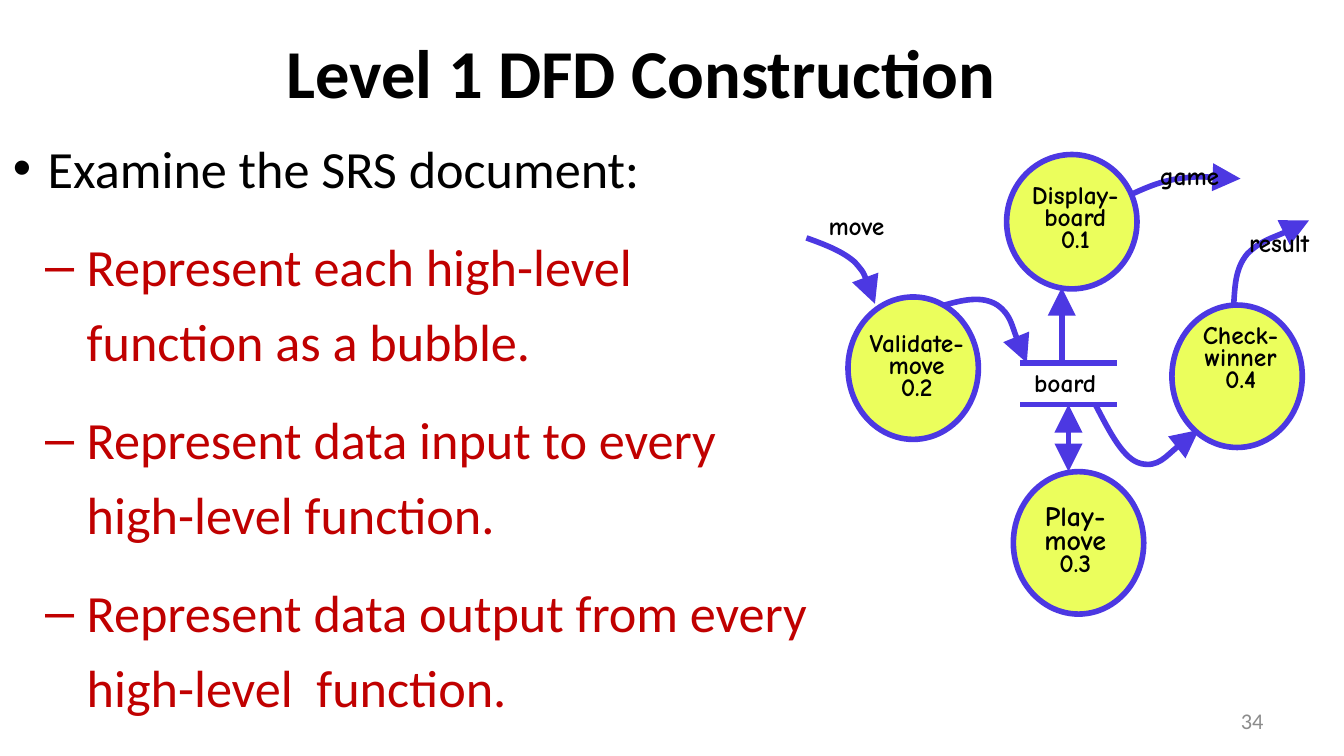
from copy import deepcopy

from lxml import etree
from pptx import Presentation
from pptx import util as u
from pptx.dml.color import RGBColor
from pptx.enum import shapes, text
from pptx.oxml.ns import qn

COLOURS = {"black": "000000", "red": "C00000", "grey": "8C8C8C",
           "yellow": "EBFE5C", "violet": "4C38E2"}
CELL = 0.1
BUBBLE_WIDTH, BUBBLE_HEIGHT = 9.7, 10.6
LABEL = {"name": "Comic Neue", "size": u.Pt(13.6), "bold": True}
TIGHT = {"margin_left": u.Inches(0.01), "margin_right": u.Inches(0.01),
         "margin_top": u.Inches(0.04), "margin_bottom": u.Inches(0.04)}


def cells(*values):
    """Turn grid columns or rows into slide lengths."""
    return [u.Inches(value * CELL) for value in values]


def colour(name):
    """Look up a colour of the palette."""
    return RGBColor.from_string(COLOURS[name])


def apply(target, values):
    """Set each attribute of a format dict."""
    for name, value in values.items():
        setattr(target, name, value)


def write(paragraph, words, font, colour_name="black", **layout):
    """Fill a paragraph and format its runs and line breaks."""
    paragraph.text = words
    apply(paragraph, layout)
    for run in paragraph.runs:
        apply(run.font, font)
        run.font.color.rgb = colour(colour_name)
    for line_break in paragraph._p.findall(qn("a:br")):
        line_break.append(deepcopy(paragraph.runs[0]._r.rPr))


def add_text_frame(slide, box, **frame_format):
    """Add a wrapping text box and return its frame."""
    frame = slide.shapes.add_textbox(*cells(*box)).text_frame
    apply(frame, {"word_wrap": True, **frame_format})
    return frame


def add_title(slide, box):
    """Place the heading."""
    frame = add_text_frame(slide, box, vertical_anchor=text.MSO_ANCHOR.MIDDLE, **TIGHT)
    write(frame.paragraphs[0], "Level 1 DFD Construction",
          {"name": "Calibri", "size": u.Pt(36.7), "bold": True},
          alignment=text.PP_ALIGN.CENTER)


def add_bullets(slide, box):
    """Place the list of construction steps."""
    frame = add_text_frame(slide, box, **TIGHT)
    steps = [("Examine the SRS document:", 0),
             ("Represent each high-level function as a bubble.", 1),
             ("Represent data input to every high-level function.", 1),
             ("Represent data output from every high-level  function.", 1)]
    levels = [("•", 0.26, 0.26, "black"), ("–", 0.55, 0.31, "red")]
    for index, (words, level) in enumerate(steps):
        mark, margin, hang, colour_name = levels[level]
        paragraph = frame.add_paragraph() if index else frame.paragraphs[0]
        properties = paragraph._p.get_or_add_pPr()
        properties.set("marL", str(u.Inches(margin)))
        properties.set("indent", str(-u.Inches(hang)))
        etree.SubElement(properties, qn("a:buFont"), typeface="Arial")
        etree.SubElement(properties, qn("a:buChar"), char=mark)
        write(paragraph, words, {"name": "Calibri", "size": u.Pt(28)}, colour_name,
              level=level, line_spacing=1.2, space_after=u.Pt(6))
        if index:
            paragraph.space_before = u.Pt(6)


def style_line(shape, ends=()):
    """Draw a violet line with large arrowheads at the named ends."""
    shape.line.color.rgb = colour("violet")
    shape.line.width = u.Pt(3)
    for end in ends:
        etree.SubElement(shape.line._get_or_add_ln(), qn(f"a:{end}"),
                         type="triangle", w="lg", len="lg")


def add_straight(slide, start, finish, ends=()):
    """Join two points by a straight line."""
    line = slide.shapes.add_connector(shapes.MSO_CONNECTOR.STRAIGHT,
                                      *cells(*start, *finish))
    style_line(line, ends)
    etree.SubElement(line._element.spPr, qn("a:effectLst"))


def add_curve(slide, points):
    """Draw an arrow along Bezier segments of three points each."""
    start, *others = [cells(*point) for point in points]
    builder = slide.shapes.build_freeform(*start, scale=1.0)
    builder.add_line_segments(others, close=False)
    curve = builder.convert_to_shape()
    outline = curve._element.find(".//" + qn("a:path"))
    segments = outline.findall(qn("a:lnTo"))
    for first in range(0, len(segments), 3):
        bezier = etree.SubElement(outline, qn("a:cubicBezTo"))
        for segment in segments[first:first + 3]:
            bezier.append(segment[0])
            outline.remove(segment)
    curve.fill.background()
    style_line(curve, ["tailEnd"])
    curve.shadow.inherit = False


def add_label(slide, box, words, **layout):
    """Place a diagram label."""
    frame = add_text_frame(slide, box, **TIGHT)
    write(frame.paragraphs[0], words, LABEL, line_spacing=0.72, **layout)
    return frame.paragraphs[0]


def add_bubble(slide, box):
    """Draw one process bubble."""
    bubble = slide.shapes.add_shape(shapes.MSO_SHAPE.OVAL, *cells(*box))
    bubble.fill.solid()
    bubble.fill.fore_color.rgb = colour("yellow")
    style_line(bubble)
    bubble.shadow.inherit = False


def add_diagram(slide, box):
    """Place the data flow diagram."""
    left, top = box[:2]

    def at(x, y, *extent):
        """Shift a point or box into the diagram."""
        return (left + x, top + y, *extent)

    bubbles = [
        ("Display-board\v0.1", (14.9, 0), 10, (15.9, 2), 8.2),
        ("Play-move\v0.3", (15.4, 23.6), BUBBLE_HEIGHT, (15.9, 25.8), 8.2),
        ("Validate-move\v0.2", (3.1, 10.6), BUBBLE_HEIGHT, (3.6, 13), 9.2),
        ("Check-winner\v0.4", (27.2, 11.2), BUBBLE_HEIGHT, (28.2, 12.4), 8.2),
    ]
    for _, corner, height, _, _ in bubbles:
        add_bubble(slide, at(*corner, BUBBLE_WIDTH, height))

    for y in (15.5, 18.6):
        add_straight(slide, at(15.9, y), at(23.1, y))
    add_straight(slide, at(19, 15.5), at(19, 9.9), ["tailEnd"])
    add_straight(slide, at(19.5, 18.6), at(19.5, 23.6), ["headEnd", "tailEnd"])

    flows = [
        [(21.5, 18.6), (22.6, 20.7), (23.6, 22.7), (24.9, 23),
         (26.2, 23.3), (28.5, 20.9), (29.2, 20.5)],
        [(10.3, 11.2), (11.7, 10.8), (13.1, 10.5), (14.2, 11.2),
         (15.2, 11.9), (16, 14.8), (16.4, 15.5)],
        [(0, 6.2), (1.4, 6.7), (2.7, 7.2), (3.6, 8),
         (4.4, 8.9), (4.8, 10), (5.1, 11.1)],
        [(31.8, 11.1), (31.9, 9.8), (31.9, 8.5), (32.8, 7.4),
         (33.8, 6.4), (36.7, 5.4), (37.4, 4.9)],
        [(24.1, 3), (25.2, 2.5), (26.3, 2), (27.7, 1.8),
         (29.1, 1.6), (30.7, 1.7), (32.3, 1.8)],
    ]
    for points in flows:
        add_curve(slide, [at(*point) for point in points])

    for words, _, _, corner, width in bubbles:
        paragraph = add_label(slide, at(*corner, width, 9.2), words,
                              alignment=text.PP_ALIGN.CENTER)
        if words.startswith("Play"):
            paragraph.runs[0].font.size = u.Pt(15)
    for words, x, y, width in [("board", 16.85, 16, 6.7), ("move", 1.55, 4.3, 7.2),
                               ("result", 32.85, 5.6, 7.2), ("game", 26.2, 0.6, 9.2)]:
        add_label(slide, at(x, y, width, 3.7), words)


def add_page_number(slide, box):
    """Place the page number."""
    frame = add_text_frame(slide, box, vertical_anchor=text.MSO_ANCHOR.MIDDLE)
    write(frame.paragraphs[0], "34", {"name": "Calibri", "size": u.Pt(12)}, "grey",
          alignment=text.PP_ALIGN.RIGHT)


def main():
    """Build and save the slide."""
    presentation = Presentation()
    presentation.slide_width, presentation.slide_height = cells(100, 56.25)
    slide = presentation.slides.add_slide(presentation.slide_layouts[6])
    add_title(slide, (15.85, 0.65, 63.7, 9.3))
    add_bullets(slide, (0.85, 8.8, 60.2, 38.5))
    add_diagram(slide, (60, 11.5, 40, 35))
    add_page_number(slide, (71.7, 52.15, 23.3, 3))
    presentation.save("out.pptx")


if __name__ == "__main__":
    main()
